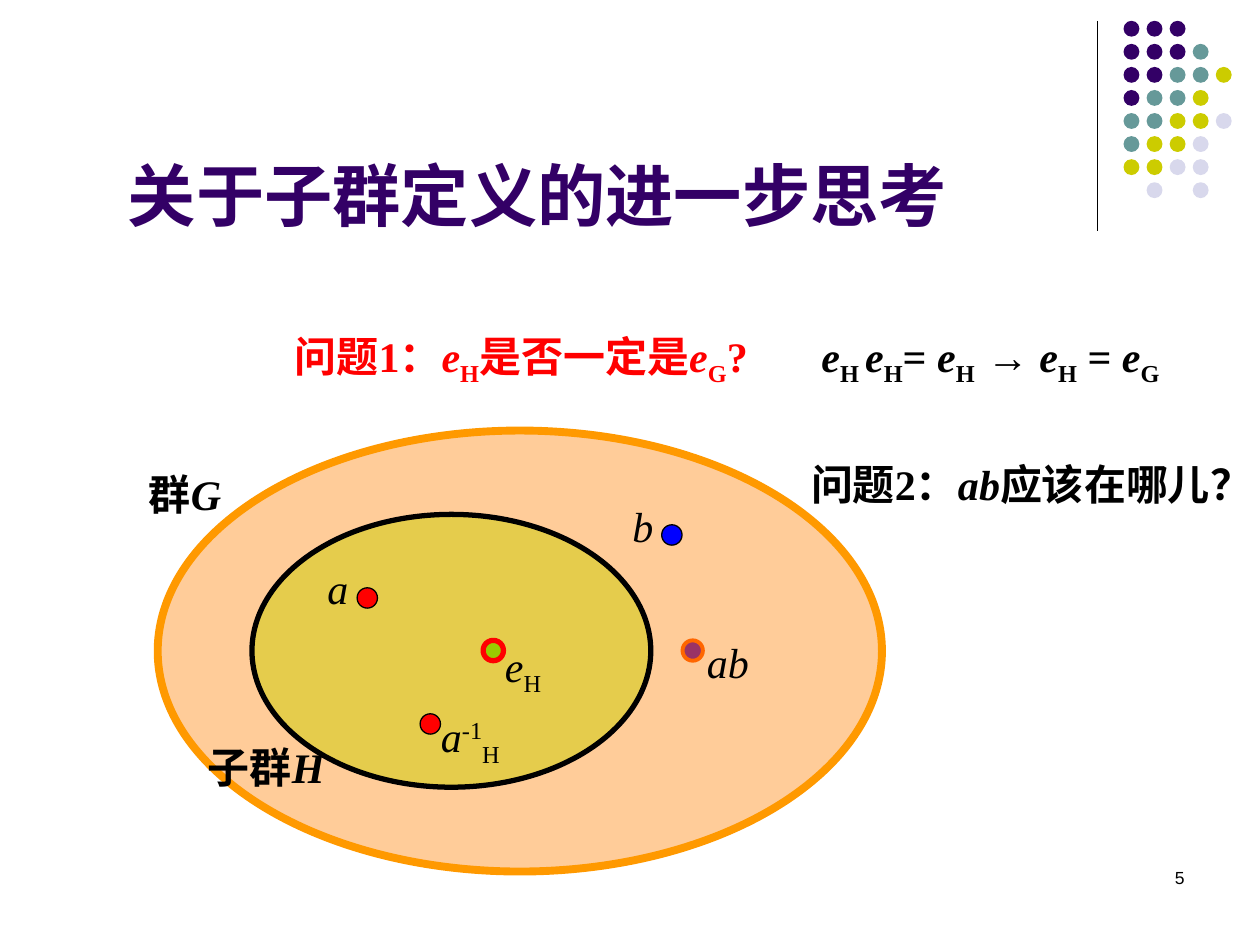
from lxml.etree import SubElement
from pptx import Presentation
from pptx.dml.color import RGBColor
from pptx.enum.shapes import MSO_CONNECTOR as Connector, MSO_SHAPE as Shape
from pptx.enum.text import MSO_ANCHOR as Anchor, PP_ALIGN as Align
from pptx.oxml.ns import qn
from pptx.util import Cm, Pt

BLACK = RGBColor(0x00, 0x00, 0x00)
RED = RGBColor(0xFF, 0x00, 0x00)
BLUE = RGBColor(0x00, 0x00, 0xFF)
GREEN = RGBColor(0x99, 0xCC, 0x00)
PLUM = RGBColor(0x99, 0x33, 0x66)
DARK_ORANGE = RGBColor(0xFF, 0x66, 0x00)
ORANGE = RGBColor(0xFF, 0x99, 0x00)
PEACH = RGBColor(0xFF, 0xCC, 0x99)
PURPLE = RGBColor(0x33, 0x00, 0x66)
TEAL = RGBColor(0x66, 0x99, 0x99)
YELLOW = RGBColor(0xCC, 0xCC, 0x00)
LILAC = RGBColor(0xD8, 0xD8, 0xEC)

SERIF, SANS = "Times New Roman", "Arial"
BASELINES = {"sub": "-25000", "sup": "30000"}

DOT_COLORS = {"P": PURPLE, "T": TEAL, "Y": YELLOW, "L": LILAC}
DOT_ROWS = ["PPP", "PPPT", "PPTTY", "PTTY", "TTYYL", "TYYL", "YYLL", ".L.L"]
DOT_LEFT, DOT_TOP, DOT_PITCH, DOT_SIZE = 22.65, 0.42, 0.465, 0.32

TITLE = "关于子群定义的进一步思考"
PAGE_NUMBER = "5"

GROUP_G = (3.18, 8.68, 14.6, 8.89)
SUBGROUP_H = (5.08, 10.37, 8.04, 5.5)

POINT_SIZE = 0.41
POINTS = [
    (7.2, 11.85, RED, BLACK, 0.75),
    (13.34, 10.58, BLUE, BLACK, 0.75),
    (9.74, 12.91, GREEN, RED, 3),
    (8.47, 14.39, RED, BLACK, 0.75),
    (13.76, 12.91, PLUM, DARK_ORANGE, 2.25),
]

E_H = [("e", "italic"), ("H", "sub")]
E_G = [("e", "italic"), ("G", "sub")]

LABEL_HEIGHT = 1.27
LABELS = [
    (2.75, 9.31, 4.45, BLACK, True, [("群", ""), ("G", "italic")]),
    (3.94, 14.83, 3.25, BLACK, True, [("子群", ""), ("H", "italic")]),
    (6.35, 11.22, 1.07, BLACK, False, [("a", "italic")]),
    (12.5, 9.96, 1.07, BLACK, False, [("b", "italic")]),
    (9.93, 12.78, 2.97, BLACK, False, E_H),
    (8.64, 14.2, 3.18, BLACK, False, [("a", "italic"), ("-1", "sup"), ("H", "sub")]),
    (14, 12.7, 2.11, BLACK, False, [("ab", "italic")]),
    (16.1, 9.12, 9.3, BLACK, True,
     [("问题2：", ""), ("ab", "italic"), ("应该在哪儿？", "")]),
    (5.69, 6.53, 9.8, RED, True,
     [("问题1：", ""), *E_H, ("是否一定是", ""), *E_G, ("?", "")]),
    (16.31, 6.53, 8.1, BLACK, True,
     [("e", "italic"), ("H ", "sub"), *E_H, ("= ", ""), ("e", "italic"),
      ("H  ", "sub"), ("→ ", ""), *E_H, (" = ", ""), *E_G]),
]


def add_ellipse(page, place, fill, line=None, width=0):
    ellipse = page.shapes.add_shape(Shape.OVAL, *map(Cm, place))
    ellipse.shadow.inherit = False
    ellipse.fill.solid()
    ellipse.fill.fore_color.rgb = fill
    if line is None:
        ellipse.line.fill.background()
    else:
        ellipse.line.color.rgb = line
        ellipse.line.width = Pt(width)
    return ellipse


def add_text(page, place, spans, font, size, color, bold=False,
             align=Align.LEFT, anchor=Anchor.TOP):
    box = page.shapes.add_textbox(*map(Cm, place))
    frame = box.text_frame
    frame.word_wrap = True
    frame.vertical_anchor = anchor
    para = frame.paragraphs[0]
    para.alignment = align
    for text, style in spans:
        span = para.add_run()
        span.text = text
        span.font.name = font
        span.font.size = Pt(size)
        span.font.bold = bold
        span.font.italic = style == "italic"
        span.font.color.rgb = color
        if style in BASELINES:
            span.font._element.set("baseline", BASELINES[style])


def add_corner_ornament(page):
    rule = page.shapes.add_connector(
        Connector.STRAIGHT, Cm(22.12), Cm(0.42), Cm(22.12), Cm(4.66))
    rule.line.color.rgb = BLACK
    rule.line.width = Pt(0.75)
    SubElement(rule._element.spPr, qn("a:effectLst"))
    for row, codes in enumerate(DOT_ROWS):
        for column, code in enumerate(codes):
            if code in DOT_COLORS:
                place = (DOT_LEFT + column * DOT_PITCH, DOT_TOP + row * DOT_PITCH,
                         DOT_SIZE, DOT_SIZE)
                add_ellipse(page, place, DOT_COLORS[code])


def main():
    deck = Presentation()
    deck.slide_width, deck.slide_height = Cm(25.4), Cm(19.05)
    page = deck.slides.add_slide(deck.slide_layouts[6])

    add_corner_ornament(page)
    add_text(page, (2.33, 1.69, 22.23, 3.18), [(TITLE, "")], SANS, 39, PURPLE,
             bold=True, anchor=Anchor.BOTTOM)

    add_ellipse(page, GROUP_G, PEACH, ORANGE, 4.5)
    subgroup = add_ellipse(page, SUBGROUP_H, YELLOW, BLACK, 3)
    fill_color = subgroup._element.spPr.find(qn("a:solidFill"))[0]
    SubElement(fill_color, qn("a:alpha"), val="50000")

    for left, top, fill, line, width in POINTS:
        add_ellipse(page, (left, top, POINT_SIZE, POINT_SIZE), fill, line, width)
    for left, top, width, color, bold, spans in LABELS:
        add_text(page, (left, top, width, LABEL_HEIGHT), spans, SERIF, 24, color, bold)

    add_text(page, (18.21, 17.36, 5.92, 1.27), [(PAGE_NUMBER, "")], SANS, 10, BLACK,
             align=Align.RIGHT)
    deck.save("out.pptx")


if __name__ == "__main__":
    main()
